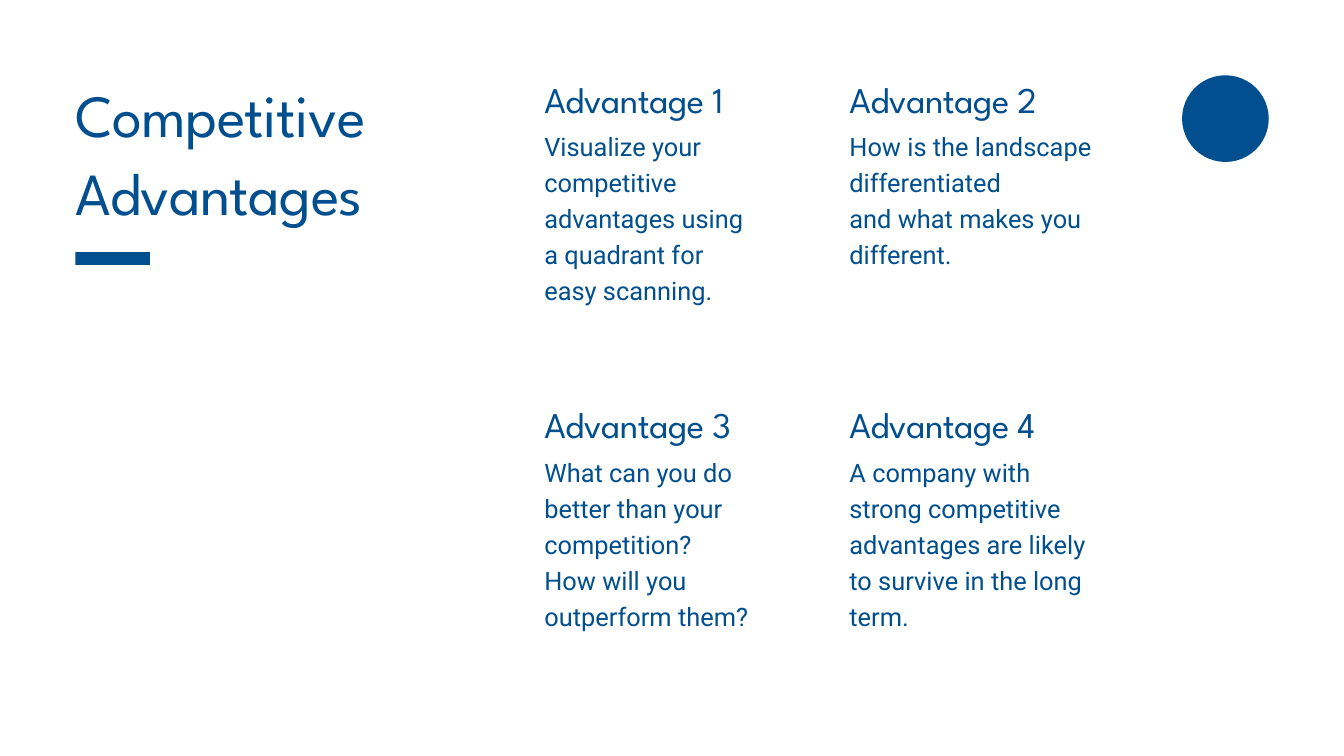
import pptx
import pptx.dml.color
import pptx.enum.shapes
import pptx.enum.text
import pptx.util

Inches = pptx.util.Inches
Pt = pptx.util.Pt
Shape = pptx.enum.shapes.MSO_SHAPE

BLUE = pptx.dml.color.RGBColor(0x01, 0x4F, 0x8E)
WHITE = pptx.dml.color.RGBColor(0xFF, 0xFF, 0xFF)
HEADING_FONT = "League Spartan"
BODY_FONT = "Roboto"

SLIDE_WIDTH, SLIDE_HEIGHT = 20, 11.25

# Quadrant grid: origin, column and row pitch, size of one cell
GRID_LEFT, GRID_TOP = 8.1, 1.09
COLUMN_PITCH, ROW_PITCH = 4.54, 4.845
CELL_WIDTH, HEADING_HEIGHT, BODY_OFFSET, BODY_HEIGHT = 3.8, 0.66, 0.78, 2.58

ADVANTAGES = [
    ("Advantage 1", ["Visualize your competitive advantages using",
                     "a quadrant for", "easy scanning."]),
    ("Advantage 2", ["How is the landscape differentiated",
                     "and what makes you different."]),
    ("Advantage 3", ["What can you do better than your competition?",
                     "How will you outperform them?"]),
    ("Advantage 4", ["A company with strong competitive advantages "
                     "are likely to survive in the long term."]),
]


def write_text(box, lines, font, size, leading, tracking=0):
    """Fill a box with left-aligned paragraphs; tracking is in points."""
    frame = box.text_frame
    frame.word_wrap = True
    frame.auto_size = pptx.enum.text.MSO_AUTO_SIZE.NONE
    frame.vertical_anchor = pptx.enum.text.MSO_ANCHOR.TOP
    frame.margin_left = frame.margin_right = 0
    frame.margin_top = frame.margin_bottom = 0
    frame.text = "\n".join(lines)
    for para in frame.paragraphs:
        para.alignment = pptx.enum.text.PP_ALIGN.LEFT
        para.line_spacing = Pt(leading)
        for span in para.runs:
            span.font.name = font
            span.font.size = Pt(size)
            span.font.color.rgb = BLUE
            if tracking:
                span._r.get_or_add_rPr().set("spc", str(round(tracking * 100)))


def add_solid(page, kind, left, top, width, height):
    shape = page.shapes.add_shape(kind, Inches(left), Inches(top),
                                  Inches(width), Inches(height))
    shape.shadow.inherit = False
    shape.fill.solid()
    shape.fill.fore_color.rgb = BLUE
    shape.line.fill.background()


def add_title(page, left, top, width, height):
    """Slide title with a short bar beneath it."""
    title = page.shapes.title
    title.left, title.top = Inches(left), Inches(top)
    title.width, title.height = Inches(width), Inches(height)
    write_text(title, ["Competitive Advantages"], HEADING_FONT, 64, 83.2, -0.6)
    add_solid(page, Shape.RECTANGLE, left, top + height + 0.42, 1.11, 0.19)


def add_advantage(page, left, top, heading, lines):
    """One quadrant: a heading over its description."""
    heading_box = page.shapes.add_textbox(
        Inches(left), Inches(top), Inches(CELL_WIDTH), Inches(HEADING_HEIGHT))
    write_text(heading_box, [heading], HEADING_FONT, 38.8, 50.5, -0.4)
    body_box = page.shapes.add_textbox(
        Inches(left), Inches(top + BODY_OFFSET), Inches(CELL_WIDTH), Inches(BODY_HEIGHT))
    write_text(body_box, lines, BODY_FONT, 27.2, 38.6)


def add_quadrants(page, left, top):
    for index, (heading, lines) in enumerate(ADVANTAGES):
        row, column = divmod(index, 2)
        add_advantage(page, left + column * COLUMN_PITCH,
                      top + row * ROW_PITCH, heading, lines)


def main():
    deck = pptx.Presentation()
    deck.slide_width = Inches(SLIDE_WIDTH)
    deck.slide_height = Inches(SLIDE_HEIGHT)
    page = deck.slides.add_slide(deck.slide_layouts.get_by_name("Title Only"))
    page.background.fill.solid()
    page.background.fill.fore_color.rgb = WHITE

    add_quadrants(page, GRID_LEFT, GRID_TOP)
    # Corner dot
    add_solid(page, Shape.OVAL, 17.59, 1.12, 1.29, 1.29)
    add_title(page, 1.12, 1.07, 5.72, 2.26)

    deck.save("out.pptx")


if __name__ == "__main__":
    main()
